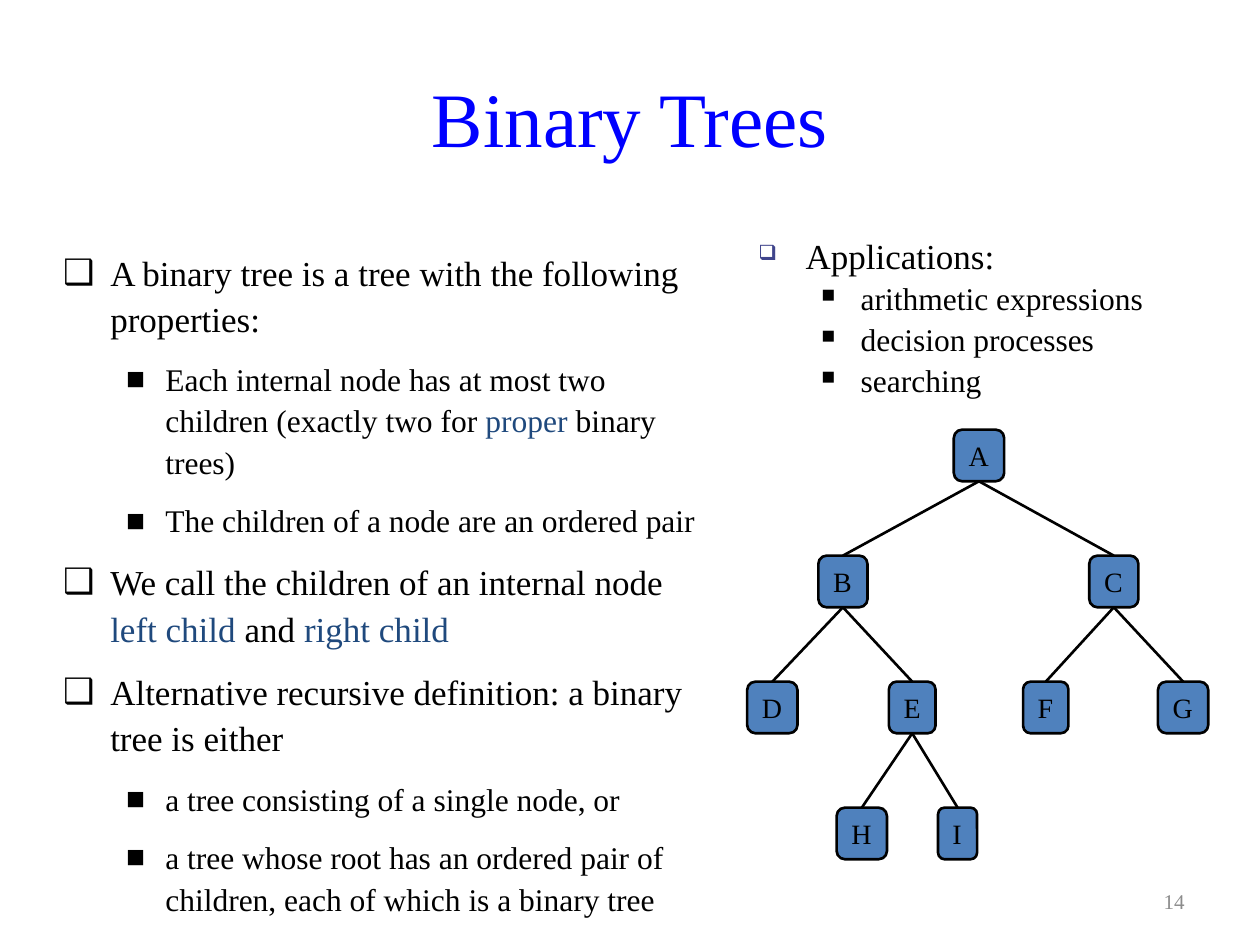
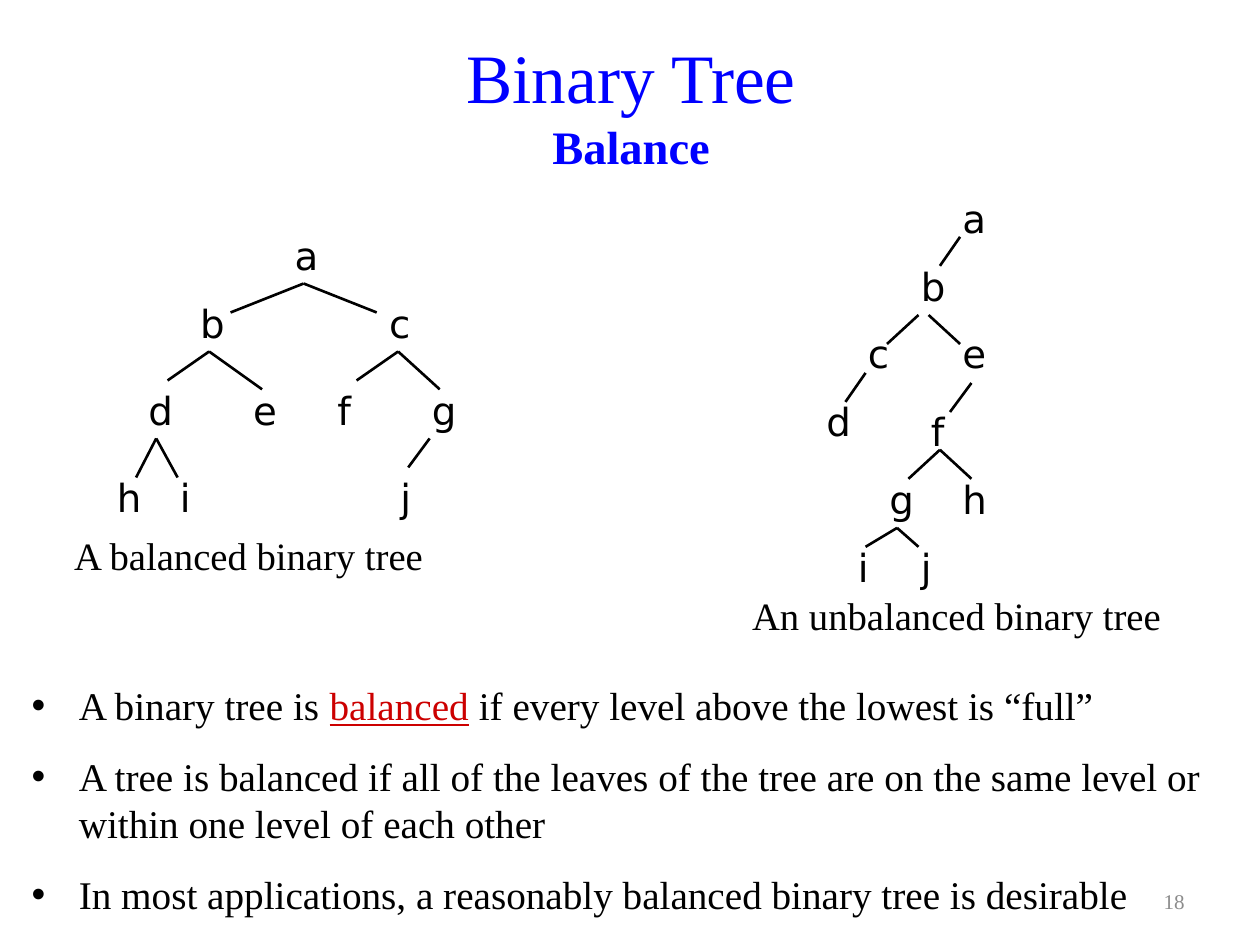
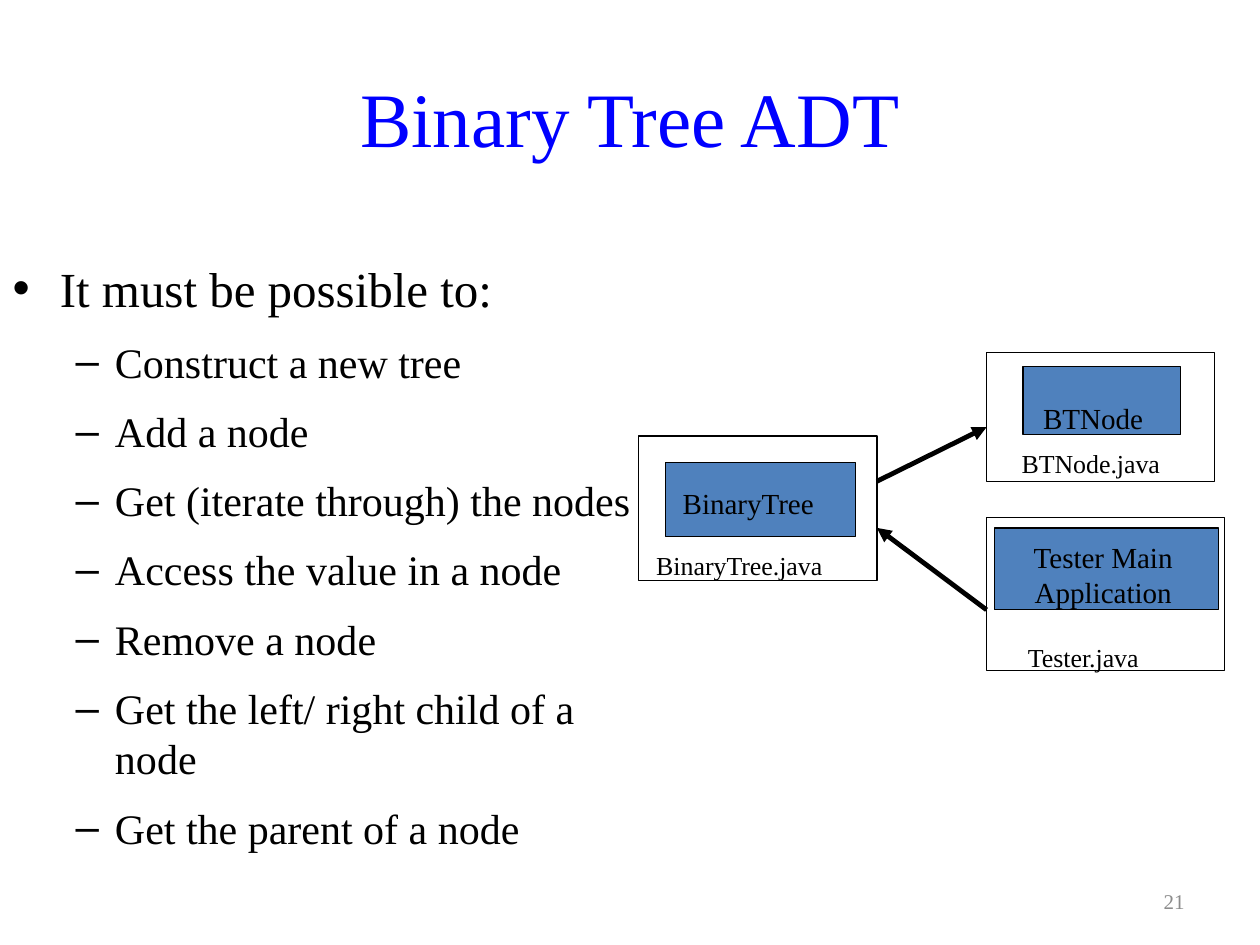
"""Build three slides on binary trees: definition, balance and ADT."""
from copy import deepcopy

from lxml.etree import SubElement
from pptx import Presentation
from pptx.dml.color import RGBColor
from pptx.enum.shapes import MSO_CONNECTOR, MSO_SHAPE as SHAPE
from pptx.enum.text import MSO_ANCHOR as ANCHOR, MSO_AUTO_SIZE as FIT, PP_ALIGN as ALIGN
from pptx.oxml.ns import qn
from pptx.util import Pt

PX = 9144
FONT, LETTER_FONT = "Times New Roman", "DejaVu Sans"
COLORS = {"title": "0000FF", "text": "000000", "term": "1F497D", "alert": "CC0000",
          "node": "4F81BD", "line": "000000", "number": "8C8C8C", "bullet": "40458C"}
TITLE_BOX = (50, 30, 900, 125)
NUMBER_BOX = (717, 695, 233, 40)
TERM = {"color": "term"}

PROPERTIES = [
    (0, ["A binary tree is a tree with the following properties:"]),
    (1, ["Each internal node has at most two children (exactly two for ",
         ("proper", TERM), " binary trees)"]),
    (1, ["The children of a node are an ordered pair"]),
    (0, ["We call the children of an internal node ", ("left child", TERM), " and ",
         ("right child", TERM)]),
    (0, ["Alternative recursive definition: a binary tree is either"]),
    (1, ["a tree consisting of a single node, or"]),
    (1, ["a tree whose root has an ordered pair of children, each of which is a binary tree"]),
]
APPLICATIONS = [
    (0, ["Applications:"]),
    (1, ["arithmetic expressions"]),
    (1, ["decision processes"]),
    (1, ["searching"]),
]
BALANCE = [
    (0, ["A binary tree is ", ("balanced", {"color": "alert", "underline": True}),
         " if every level above the lowest is “full”"]),
    (0, ["A tree is balanced if all of the leaves of the tree are on the same level "
         "or within one level of each other"]),
    (0, ["In most applications, a reasonably balanced binary tree is desirable"]),
]
OPERATIONS = [(0, ["It must be possible to:"])] + [(1, [text]) for text in (
    "Construct a new tree", "Add a node", "Get (iterate through) the nodes",
    "Access the value in a node", "Remove a node", "Get the left/ right child of a node",
    "Get the parent of a node")]

NODE_TOP, NODE_HEIGHT, LEVEL_STEP = 341, 41, 100
NODE_LEVELS = [
    {"A": (777, 40)},
    {"B": (669, 39), "C": (884, 39)},
    {"D": (613, 40), "E": (724, 37), "F": (830, 36), "G": (939, 40)},
    {"H": (684, 40), "I": (760, 31)},
]
NODE_EDGES = "AB AC BD BE CF CG EH EI".split()

LETTER_SIZE = (42, 47)
LETTER_TREES = [
    {"caption": ("A balanced binary tree", (49, 417, 342, 47)),
     "rows": [(179, {"a": 224}), (233, {"b": 149, "c": 299}),
              (302, {"d": 108, "e": 191, "f": 258, "g": 333}),
              (371, {"h": 83, "i": 133, "j": 308})],
     "branches": [((241, 225), [(183, 248), (299, 248)]),
                  ((166, 279), [(133, 302), (208, 309)]),
                  ((316, 279), [(283, 302), (349, 309)]),
                  ((124, 348), [(108, 379), (141, 379)]),
                  ((341, 348), [(324, 371)])]},
    {"caption": ("An unbalanced binary tree", (587, 465, 375, 47)),
     "rows": [(150, {"a": 754}), (204, {"b": 721}), (257, {"c": 679, "e": 754}),
              (311, {"d": 646}), (319, {"f": 729}), (373, {"g": 696, "h": 754}),
              (427, {"i": 671, "j": 721})],
     "branches": [((762, 188), [(746, 211)]), ((729, 250), [(704, 273)]),
                  ((737, 250), [(762, 273)]), ((687, 296), [(671, 319)]),
                  ((771, 304), [(754, 327)]),
                  ((746, 357), [(721, 380), (771, 380)]),
                  ((712, 419), [(687, 434), (729, 434)])]},
]

SOURCE_FILES = [
    {"frame": (507, 346, 189, 115), "block": (528, 367, 151, 59),
     "name": ("BinaryTree", (532, 380, 155, 38), ALIGN.LEFT),
     "file": ("BinaryTree.java", (511, 431, 185, 35))},
    {"frame": (783, 411, 189, 121), "block": (789, 419, 178, 65),
     "name": ("Tester Main Application", (795, 423, 161, 66), ALIGN.CENTER),
     "file": ("Tester.java", (806, 504, 161, 35))},
    {"frame": (783, 280, 181, 102), "block": (812, 291, 125, 54),
     "name": ("BTNode", (818, 313, 118, 38), ALIGN.LEFT),
     "file": ("BTNode.java", (801, 350, 164, 35))},
]
USES = [((783, 484), (696, 419)), ((696, 382), (783, 339))]


def emu(values):
    return [round(v * PX) for v in values]


def rgb(name):
    return RGBColor.from_string(COLORS[name])


def apply(target, values):
    for name, value in values.items():
        setattr(target, name, value)


def add_run(p, text, size, color="text", name=FONT, **fmt):
    r = p.add_run()
    r.text = text
    apply(r.font, {"size": Pt(size), "name": name, **fmt})
    r.font.color.rgb = rgb(color)
    return r


def set_bullet(p, char, color=None, percent=None):
    pPr = p._p.get_or_add_pPr()
    if color:
        SubElement(SubElement(pPr, qn("a:buClr")), qn("a:srgbClr"), val=COLORS[color])
    if percent:
        SubElement(pPr, qn("a:buSzPct"), val=str(percent * 1000))
    SubElement(pPr, qn("a:buChar"), char=char)


def write_list(tf, items, sizes, formats, bullets=()):
    """Write (level, segments) items with a size, format and bullet per level."""
    apply(tf, {"word_wrap": True, "auto_size": FIT.NONE})
    for i, (level, segments) in enumerate(items):
        p = tf.add_paragraph() if i else tf.paragraphs[0]
        apply(p, {"level": level, **formats[level]})
        if bullets:
            set_bullet(p, *bullets[level])
        for segment in segments:
            text, fmt = (segment, {}) if isinstance(segment, str) else segment
            add_run(p, text, sizes[level], **fmt)


def place(sp, box):
    sp.left, sp.top, sp.width, sp.height = emu(box)


def add_text(s, text, box, size, align=ALIGN.LEFT, **fmt):
    tf = s.shapes.add_textbox(*emu(box)).text_frame
    apply(tf, {"word_wrap": True, "auto_size": FIT.SHAPE_TO_FIT_TEXT})
    tf.paragraphs[0].alignment = align
    add_run(tf.paragraphs[0], text, size, **fmt)
    return tf


def add_box(s, kind, box, width, fill=None):
    sp = s.shapes.add_shape(kind, *emu(box))
    sp.shadow.inherit = False
    if fill:
        sp.fill.solid()
        sp.fill.fore_color.rgb = rgb(fill)
    else:
        sp.fill.background()
    sp.line.color.rgb = rgb("line")
    sp.line.width = Pt(width)
    return sp


def add_line(s, start=(0, 0), end=(0, 0), width=1.5, arrow=False):
    c = s.shapes.add_connector(MSO_CONNECTOR.STRAIGHT, *emu(start + end))
    c.line.color.rgb = rgb("line")
    c.line.width = Pt(width)
    spPr = c._element.spPr
    if arrow:
        SubElement(spPr.find(qn("a:ln")), qn("a:tailEnd"), type="triangle")
    SubElement(spPr, qn("a:effectLst"))
    return c


def add_slide(prs, title, number, body_box, title_box=TITLE_BOX, size=44, subtitle=None):
    """Add a slide with its title and number; return it with the body's text frame."""
    s = prs.slides.add_slide(prs.slide_layouts[1])
    place(s.shapes.title, title_box)
    tf = s.shapes.title.text_frame
    apply(tf, {"auto_size": FIT.NONE, "vertical_anchor": ANCHOR.MIDDLE})
    p = tf.paragraphs[0]
    p.alignment = ALIGN.CENTER
    r = add_run(p, title, size, "title")
    if subtitle:
        p.add_line_break()
        p._p.find(qn("a:br")).append(deepcopy(r._r.rPr))
        add_run(p, subtitle, 26.6, "title", bold=True)
    body = s.placeholders[1]
    place(body, body_box)
    tf = add_text(s, str(number), NUMBER_BOX, 12, ALIGN.RIGHT, color="number")
    apply(tf, {"auto_size": FIT.NONE, "vertical_anchor": ANCHOR.MIDDLE})
    return s, body.text_frame


def build_definition(prs):
    s, body = add_slide(prs, "Binary Trees", 14, (40, 191, 533, 559))
    spacing = {"line_spacing": 1.1, "space_after": Pt(6)}
    write_list(body, PROPERTIES, (20, 18), (spacing, spacing), ("❑", "■"))

    tf = s.shapes.add_textbox(*emu((592, 181, 358, 175))).text_frame
    before = {"space_before": Pt(4)}
    write_list(tf, APPLICATIONS, (20, 18), (before, {**before, "line_spacing": 0.9}),
               (("❑", "bullet", 60), ("■", "text", 60)))
    for p in tf.paragraphs:
        margin, indent = emu((81.25, -31.25) if p.level else (37.5, -37.5))
        pPr = p._p.get_or_add_pPr()
        pPr.set("marL", str(margin))
        pPr.set("indent", str(indent))

    nodes = {}
    for level, row in enumerate(NODE_LEVELS):
        for name, (center, width) in row.items():
            box = (center - width / 2, NODE_TOP + level * LEVEL_STEP, width, NODE_HEIGHT)
            sp = nodes[name] = add_box(s, SHAPE.ROUNDED_RECTANGLE, box, 1.5, "node")
            tf = sp.text_frame
            apply(tf, {"word_wrap": False, "auto_size": FIT.SHAPE_TO_FIT_TEXT,
                       "vertical_anchor": ANCHOR.MIDDLE})
            tf.paragraphs[0].alignment = ALIGN.LEFT
            add_run(tf.paragraphs[0], name, 16)
    for parent, child in NODE_EDGES:
        c = add_line(s)
        c.begin_connect(nodes[parent], 2)
        c.end_connect(nodes[child], 0)


def build_balance(prs):
    s, body = add_slide(prs, "Binary Tree", 18, (15, 536, 972, 197),
                        (75, 17, 852, 131), 39.6, "Balance")
    write_list(body, BALANCE, (22.4,), ({"space_before": Pt(7.7), "space_after": Pt(6)},))
    for tree in LETTER_TREES:
        for top, row in tree["rows"]:
            for letter, left in row.items():
                add_text(s, letter, (left, top) + LETTER_SIZE, 22.1, name=LETTER_FONT)
        for start, ends in tree["branches"]:
            for end in ends:
                add_line(s, start, end)
        add_text(s, *tree["caption"], 22.1)


def build_adt(prs):
    s, body = add_slide(prs, "Binary Tree ADT", 21, (0, 200, 520, 550))
    after = {"space_after": Pt(6)}
    write_list(body, OPERATIONS, (28, 24), (after, after))
    for part in SOURCE_FILES:
        add_box(s, SHAPE.RECTANGLE, part["frame"], 0.75)
        add_box(s, SHAPE.RECTANGLE, part["block"], 0.75, "node")
        name, box, align = part["name"]
        add_text(s, name, box, 16.6, align)
        add_text(s, *part["file"], 14.8)
    for start, end in USES:
        add_line(s, start, end, 2.75, arrow=True)


def main():
    prs = Presentation()
    prs.slide_width, prs.slide_height = emu((1000, 750))
    for build in (build_definition, build_balance, build_adt):
        build(prs)
    prs.save("out.pptx")


if __name__ == "__main__":
    main()
